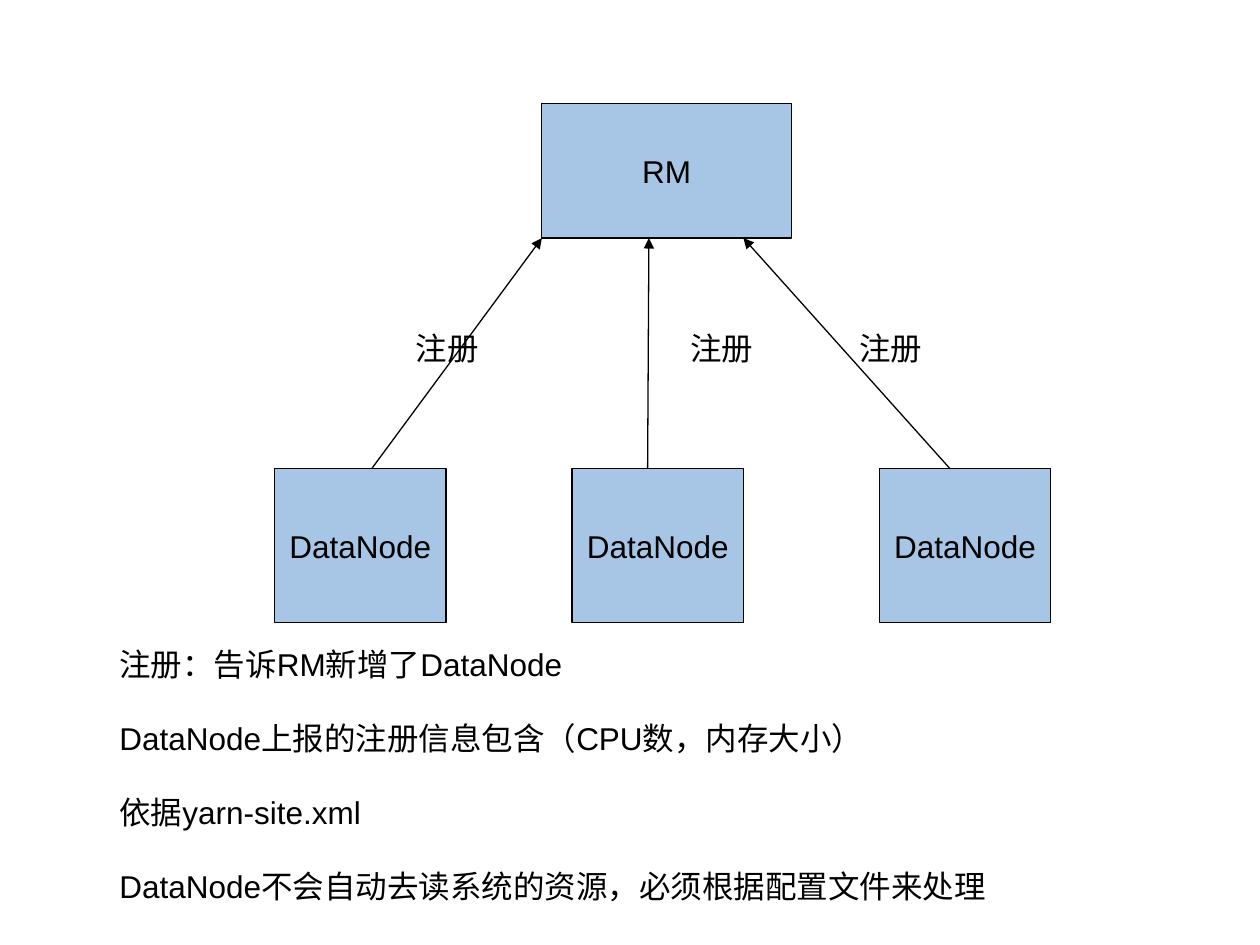
"""Build a slide on how DataNodes register with the RM."""
from dataclasses import dataclass

from lxml import etree
from pptx import Presentation
from pptx import util as u
from pptx.dml.color import RGBColor
from pptx.enum import shapes, text
from pptx.oxml.ns import qn


@dataclass(frozen=True)
class Theme:
    """Colours, type and line sizes of the slide."""
    fill: RGBColor = RGBColor(0xA7, 0xC6, 0xE5)
    ink: RGBColor = RGBColor(0, 0, 0)
    font: str = "Arial"
    size: u.Pt = u.Pt(18)
    line: u.Pt = u.Pt(0.75)
    gap: u.Pt = u.Pt(20.7)


@dataclass(frozen=True)
class Box:
    """A region measured in columns and rows of the slide grid."""
    col: float
    row: float
    cols: float
    rows: float

    def inner(self, col, row, cols, rows):
        """Return a box placed relative to this one."""
        return Box(self.col + col, self.row + row, cols, rows)

    def lengths(self):
        """Return left, top, width and height as slide lengths."""
        return [u.Emu(round(n * CELL)) for n in (self.col, self.row, self.cols, self.rows)]


THEME = Theme()
WIDTH, HEIGHT = u.Inches(10), u.Inches(7.5)
CELL = WIDTH / 100
DIAGRAM = Box(21.8, 8.2, 61.6, 41.2)
NOTES = Box(8.5, 50.7, 85.6, 22)
MANAGER = (21.2, 0, 19.8, 10.7)
NODE_ROW, NODE_COLS, NODE_ROWS = 29, 13.6, 12.2
LABEL_ROW, LABEL_COLS, LABEL_ROWS = 17.4, 16.2, 4
NODES = [
    {"node": 0, "start": 7.7, "end": 21.2, "label": 10.2},
    {"node": 23.6, "start": 29.6, "end": 29.7, "label": 32},
    {"node": 48, "start": 53.6, "end": 37.2, "label": 45.4},
]
NOTE_LINES = [
    "注册：告诉RM新增了DataNode",
    "DataNode上报的注册信息包含（CPU数，内存大小）",
    "依据yarn-site.xml",
    "DataNode不会自动去读系统的资源，必须根据配置文件来处理",
]


def apply(target, values):
    """Set each attribute of the target from a dict."""
    for name, value in values.items():
        setattr(target, name, value)


def write(frame, lines, align=text.PP_ALIGN.LEFT):
    """Write one paragraph per line in the theme type."""
    for index, line in enumerate(lines):
        para = frame.paragraphs[0] if index == 0 else frame.add_paragraph()
        span = para.add_run()
        span.text = line
        apply(para, {"alignment": align, "space_before": THEME.gap if index else u.Pt(0)})
        apply(span.font, {"name": THEME.font, "size": THEME.size})
        span.font.color.rgb = THEME.ink


def add_block(page, box, name):
    """Add a filled rectangle with a centred name."""
    block = page.shapes.add_shape(shapes.MSO_SHAPE.RECTANGLE, *box.lengths())
    block.shadow.inherit = False
    block.fill.solid()
    block.fill.fore_color.rgb = THEME.fill
    block.line.color.rgb = THEME.ink
    block.line.width = THEME.line
    apply(block.text_frame, {"word_wrap": False, "vertical_anchor": text.MSO_ANCHOR.MIDDLE})
    write(block.text_frame, [name], text.PP_ALIGN.CENTER)


def add_text(page, box, lines):
    """Add a wrapping text box that fits its text."""
    frame = page.shapes.add_textbox(*box.lengths()).text_frame
    apply(frame, {"word_wrap": True, "auto_size": text.MSO_AUTO_SIZE.SHAPE_TO_FIT_TEXT})
    write(frame, lines)


def add_arrow(page, box, start, end):
    """Add an arrow between two points given relative to the box."""
    points = [length for point in (start, end) for length in box.inner(*point, 0, 0).lengths()[:2]]
    arrow = page.shapes.add_connector(shapes.MSO_CONNECTOR.STRAIGHT, *points)
    arrow.line.color.rgb = THEME.ink
    arrow.line.width = THEME.line
    etree.SubElement(arrow.line._get_or_add_ln(), qn("a:tailEnd"), type="triangle")
    etree.SubElement(arrow._element.spPr, qn("a:effectLst"))


def add_diagram(page, box):
    """Place the manager, its nodes and their registration arrows."""
    add_block(page, box.inner(*MANAGER), "RM")
    for node in NODES:
        add_block(page, box.inner(node["node"], NODE_ROW, NODE_COLS, NODE_ROWS), "DataNode")
    for node in NODES:
        add_arrow(page, box, (node["start"], NODE_ROW), (node["end"], MANAGER[3]))
        add_text(page, box.inner(node["label"], LABEL_ROW, LABEL_COLS, LABEL_ROWS), ["注册"])


def main():
    """Build and save the deck."""
    deck = Presentation()
    apply(deck, {"slide_width": WIDTH, "slide_height": HEIGHT})
    page = deck.slides.add_slide(deck.slide_layouts.get_by_name("Blank"))
    add_diagram(page, DIAGRAM)
    add_text(page, NOTES, NOTE_LINES)
    deck.save("out.pptx")


if __name__ == "__main__":
    main()
